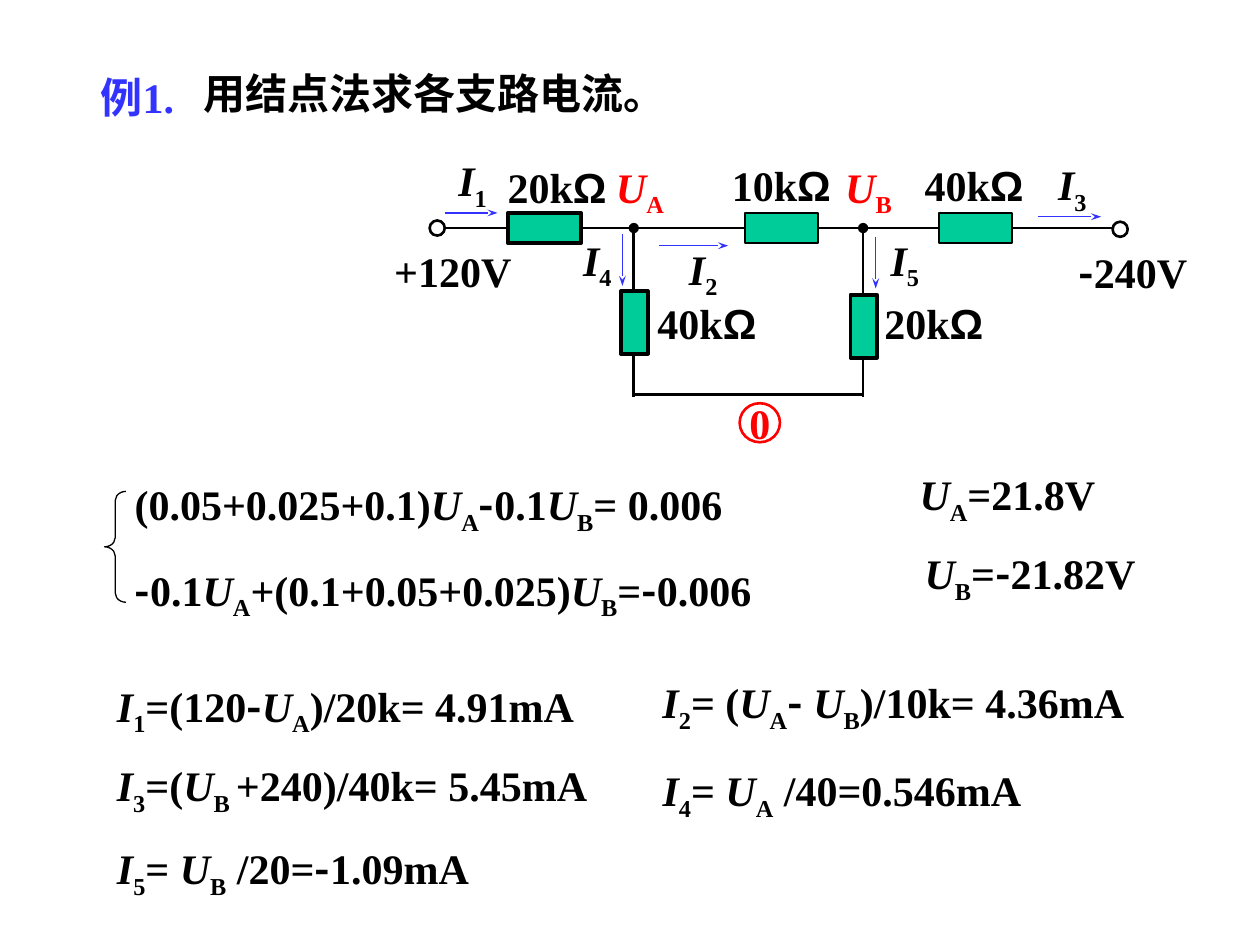
from dataclasses import dataclass
from itertools import groupby

from lxml import etree
from pptx import Presentation
from pptx.dml.color import RGBColor
from pptx.enum.shapes import MSO_CONNECTOR, MSO_SHAPE
from pptx.enum.text import MSO_ANCHOR, MSO_AUTO_SIZE, PP_ALIGN
from pptx.oxml.ns import qn
from pptx.util import Inches, Pt

RECTANGLE, OVAL, BRACE = MSO_SHAPE.RECTANGLE, MSO_SHAPE.OVAL, MSO_SHAPE.LEFT_BRACE
STRAIGHT = MSO_CONNECTOR.STRAIGHT
GROW = MSO_AUTO_SIZE.SHAPE_TO_FIT_TEXT
MIDDLE, CENTER = MSO_ANCHOR.MIDDLE, PP_ALIGN.CENTER
COLUMNS, ROWS = 100, 75


@dataclass(frozen=True)
class Theme:
    black: str = "000000"
    white: str = "FFFFFF"
    blue: str = "3333FF"
    red: str = "FF0000"
    green: str = "00CC99"
    font: str = "Times New Roman"
    asian_font: str = "Noto Sans CJK SC"
    symbol_font: str = "Arial"
    size: float = 24
    thin: float = 0.75
    light: float = 1
    wire: float = 1.5
    heavy: float = 2.25


class CircuitSlide:
    """Draws on a grid of 100 columns by 75 rows."""

    def __init__(self, presentation, theme):
        self.theme = theme
        self.slide = presentation.slides.add_slide(presentation.slide_layouts[6])
        self.column = presentation.slide_width / COLUMNS
        self.row = presentation.slide_height / ROWS

    def place(self, x, y):
        return round(x * self.column), round(y * self.row)

    def style_runs(self, paragraph, formula, color):
        """An underscore lowers the next character; U and I are variables."""
        theme = self.theme
        fonts = {"-": theme.asian_font, "Ω": theme.symbol_font}
        styled, lowered = [], False
        for character in formula:
            if character == "_":
                lowered = True
                continue
            font = fonts.get(character, theme.font)
            styled.append((character, (font, character in "UI", lowered)))
            lowered = False
        for (font, italic, subscript), group in groupby(styled, lambda item: item[1]):
            run = paragraph.add_run()
            run.text = "".join(character for character, _ in group)
            run.font.size = Pt(theme.size)
            run.font.bold = True
            run.font.italic = italic
            run.font.color.rgb = RGBColor.from_string(color)
            run.font.name = font
            properties = run.font._element
            etree.SubElement(properties, qn("a:ea")).set("typeface", theme.asian_font)
            if subscript:
                properties.set("baseline", "-25000")

    def text(self, x, y, width, formula, color=None, wrap=False):
        height = 5.6 if "_" in formula else 5
        box = self.slide.shapes.add_textbox(*self.place(x, y), *self.place(width, height))
        frame = box.text_frame
        frame.word_wrap = wrap
        frame.auto_size = GROW
        self.style_runs(frame.paragraphs[0], formula, color or self.theme.black)

    def shape(self, kind, x, y, width, height, weight, fill=None, color=None):
        shape = self.slide.shapes.add_shape(
            kind, *self.place(x, y), *self.place(width, height))
        shape.shadow.inherit = False
        if fill:
            shape.fill.solid()
            shape.fill.fore_color.rgb = RGBColor.from_string(fill)
        else:
            shape.fill.background()
        shape.line.color.rgb = RGBColor.from_string(color or self.theme.black)
        shape.line.width = Pt(weight)
        return shape

    def resistor(self, x, y, width, height, weight):
        self.shape(RECTANGLE, x, y, width, height, weight, self.theme.green)

    def terminal(self, x, y):
        self.shape(OVAL, x, y, 1.2, 1.2, self.theme.wire, self.theme.white)

    def reference_node(self, x, y, label):
        shape = self.shape(OVAL, x, y, 3.2, 3.1, self.theme.wire, color=self.theme.red)
        frame = shape.text_frame
        frame.word_wrap = False
        frame.vertical_anchor = MIDDLE
        frame.paragraphs[0].alignment = CENTER
        self.style_runs(frame.paragraphs[0], label, self.theme.red)

    def line(self, start, end, color, weight, ending=None):
        connector = self.slide.shapes.add_connector(
            STRAIGHT, *self.place(*start), *self.place(*end))
        connector.line.color.rgb = RGBColor.from_string(color)
        connector.line.width = Pt(weight)
        if ending:
            tag, kind, width = ending
            mark = etree.SubElement(connector.line._get_or_add_ln(), qn(tag))
            mark.set("type", kind)
            mark.set("w", width)
        etree.SubElement(connector._element.spPr, qn("a:effectLst"))

    def wire(self, start, end, node=False):
        ending = ("a:headEnd", "oval", "med") if node else None
        self.line(start, end, self.theme.black, self.theme.wire, ending)

    def current(self, x, y, across=0, down=0):
        self.line((x, y), (x + across, y + down), self.theme.blue, self.theme.thin,
                  ("a:tailEnd", "stealth", "sm"))


def main():
    presentation = Presentation()
    presentation.slide_width, presentation.slide_height = Inches(10), Inches(7.5)
    theme = Theme()
    page = CircuitSlide(presentation, theme)

    # Heading
    page.text(15.2, 4.9, 44.2, "用结点法求各支路电流。", wrap=True)
    page.text(7, 5.2, 10.7, "例1.", theme.blue, wrap=True)

    # Wires, with a dot at each node
    top, bottom, node_a, node_b = 18.1, 31.3, 50.3, 68.5
    page.wire((35.3, top), (88.6, top))
    for node in (node_a, node_b):
        page.wire((node, top), (node, bottom + 0.2), node=True)
    page.wire((node_a, bottom), (node_b, bottom))

    # Resistors
    for x, weight in ((40.3, theme.heavy), (59.1, theme.light), (74.5, theme.light)):
        page.resistor(x, 16.9, 5.8, 2.4, weight)
    for node, y in ((node_a, 23.1), (node_b, 23.4)):
        page.resistor(node - 1, y, 2.1, 5, theme.heavy)
    for x, y, value in ((39.3, 12.3, 20), (57.1, 12.2, 10), (72.4, 12.2, 40),
                        (69.2, 23.1, 20), (51.2, 23.1, 40)):
        page.text(x, y, 10.6, f"{value}kΩ")

    # Branch currents, with labels wide enough for one line
    for x, y, across, down in ((35.3, 16.9, 4.2, 0), (52.3, 19.5, 5.5, 0),
                               (82.4, 17.2, 5, 0), (49.4, 18.6, 0, 4.1),
                               (69.5, 18.8, 0, 4.1)):
        page.current(x, y, across, down)
    labels = ((35.4, 11.8), (53.7, 18.8), (83, 12.1), (45.3, 18.1), (69.7, 18.1))
    for number, (x, y) in enumerate(labels, start=1):
        page.text(x, y, 4.6, f"I_{number}")

    # Terminals, nodes and reference
    page.terminal(34.1, 17.5)
    page.terminal(88.3, 17.6)
    page.text(30.3, 19, 13.8, "+120V")
    page.text(84.6, 19.1, 12.1, "-240V")
    page.text(47.9, 12.3, 5.8, "U_A", theme.red)
    page.text(66.1, 12.3, 5.7, "U_B", theme.red)
    page.reference_node(58.7, 32, "0")

    # Node equations and results
    brace = page.shape(BRACE, 8.3, 39, 1.7, 8.8, theme.thin)
    brace.adjustments[0] = 0.43
    for x, y, width, formula in (
        (9.7, 37.5, 56.2, "(0.05+0.025+0.1)U_A-0.1U_B= 0.006"),
        (9.7, 44.3, 58.6, "-0.1U_A+(0.1+0.05+0.025)U_B=-0.006"),
        (72, 36.7, 21.7, "U_A=21.8V"),
        (72.4, 43, 24.8, "U_B=-21.82V"),
        (8.3, 53.5, 44.1, "I_1=(120-U_A)/20k= 4.91mA"),
        (51.6, 53.2, 44, "I_2= (U_A- U_B)/10k= 4.36mA"),
        (8.3, 59.8, 46.6, "I_3=(U_B_ +240)/40k= 5.45mA"),
        (51.6, 60.2, 37.5, "I_4= U_A /40=0.546mA"),
        (8.3, 66.4, 35.9, "I_5= U_B /20=-1.09mA"),
    ):
        page.text(x, y, width, formula, wrap=True)

    presentation.save("out.pptx")


if __name__ == "__main__":
    main()
